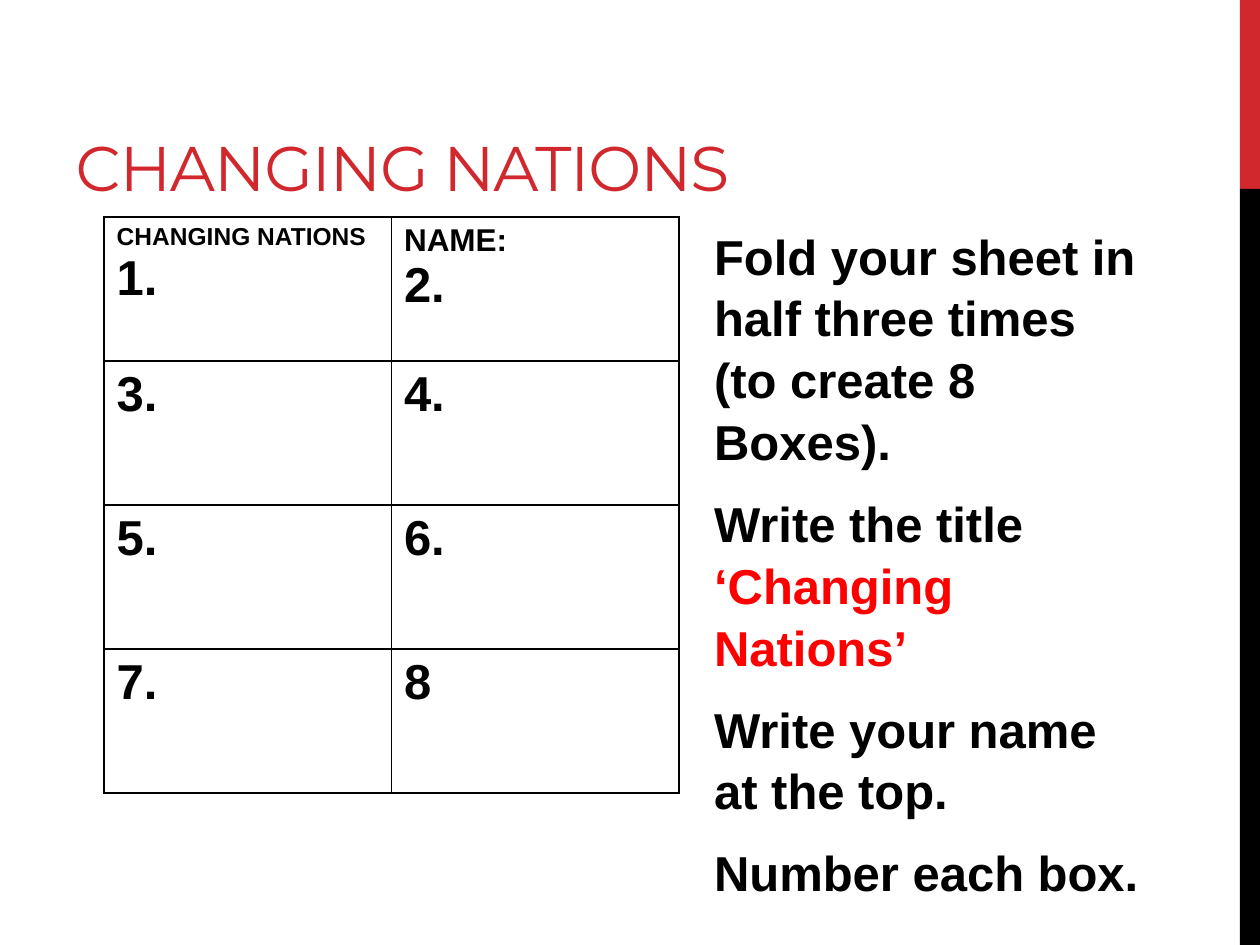
import pptx
import pptx.util
import pptx.dml.color
import pptx.enum.shapes
import pptx.enum.text
import pptx.oxml
import pptx.oxml.ns

Pt = pptx.util.Pt

# Content
TITLE = "CHANGING NATIONS"
# Each cell is a list of (text, size name) paragraphs
GRID = [
    [[("CHANGING NATIONS", "label"), ("1.", "body")],
     [("NAME:", "name"), ("2.", "body")]],
    [[("3.", "body")], [("4.", "body")]],
    [[("5.", "body")], [("6.", "body")]],
    [[("7.", "body")], [("8", "body")]],
]
# Each instruction is a list of (text, colour name) runs
INSTRUCTIONS = [
    [("Fold your sheet in half three times (to create 8 Boxes).", "ink")],
    [("Write the title ", "ink"), ("‘Changing Nations’", "highlight")],
    [("Write your name at the top.", "ink")],
    [("Number each box.", "ink")],
]

THEME = {
    "colours": {"accent": "D1282E", "ink": "000000", "highlight": "FF0000"},
    "sizes": {"title": 36, "body": 28, "name": 18, "label": 14},
    "fonts": {"title": "Montserrat", "body": "Arial"},
}

# Layout in points
PAGE_WIDTH, PAGE_HEIGHT = 720, 540
BAND_LEFT, BAND_SPLIT = 708.5, 108
TITLE_BOX = (36, 12, 456, 108)
TABLE_LEFT, TABLE_TOP = 59.5, 124
CELL_WIDTH, CELL_HEIGHT = 164.2, 82.3
TEXT_BOX = (401, 124, 259, 356)


def colour(name):
    return pptx.dml.color.RGBColor.from_string(THEME["colours"][name])


def add_span(para, text, size, ink="ink", font="body", bold=True):
    span = para.add_run()
    span.text = text
    span.font.name = THEME["fonts"][font]
    span.font.size = Pt(THEME["sizes"][size])
    span.font.bold = bold
    span.font.color.rgb = colour(ink)
    return span


def paragraphs(frame, count):
    """Yield the first paragraph of a frame, then new ones."""
    for index in range(count):
        yield frame.add_paragraph() if index else frame.paragraphs[0]


def add_band(page, top, height, name):
    band = page.shapes.add_shape(
        pptx.enum.shapes.MSO_SHAPE.RECTANGLE,
        Pt(BAND_LEFT), Pt(top), Pt(PAGE_WIDTH - BAND_LEFT), Pt(height))
    band.shadow.inherit = False
    band.fill.solid()
    band.fill.fore_color.rgb = colour(name)
    band.line.fill.background()


def add_title(page):
    title = page.shapes.title
    title.left, title.top, title.width, title.height = map(Pt, TITLE_BOX)
    frame = title.text_frame
    frame.word_wrap = True
    frame.vertical_anchor = pptx.enum.text.MSO_ANCHOR.BOTTOM
    para = frame.paragraphs[0]
    para.alignment = pptx.enum.text.PP_ALIGN.LEFT
    span = add_span(para, TITLE, "title", "accent", "title", bold=False)
    span.font._element.set("spc", "-60")


def outline_cell(cell):
    properties = cell._tc.get_or_add_tcPr()
    namespace = pptx.oxml.ns.nsdecls("a")
    for index, side in enumerate(("lnL", "lnR", "lnT", "lnB")):
        border = pptx.oxml.parse_xml(
            f'<a:{side} {namespace} w="{Pt(1)}"><a:solidFill>'
            f'<a:srgbClr val="{THEME["colours"]["ink"]}"/>'
            f'</a:solidFill></a:{side}>')
        properties.insert(index, border)


def add_grid(page):
    rows, columns = len(GRID), len(GRID[0])
    table = page.shapes.add_table(
        rows, columns, Pt(TABLE_LEFT), Pt(TABLE_TOP),
        Pt(columns * CELL_WIDTH), Pt(rows * CELL_HEIGHT)).table
    table.first_row = table.horz_banding = False
    for column in table.columns:
        column.width = Pt(CELL_WIDTH)
    for row_index, row in enumerate(GRID):
        table.rows[row_index].height = Pt(CELL_HEIGHT)
        for column_index, lines in enumerate(row):
            cell = table.cell(row_index, column_index)
            cell.fill.background()
            outline_cell(cell)
            paras = paragraphs(cell.text_frame, len(lines))
            for para, (text, size) in zip(paras, lines):
                add_span(para, text, size)


def add_instructions(page):
    box = page.shapes.add_textbox(*map(Pt, TEXT_BOX))
    frame = box.text_frame
    frame.word_wrap = True
    paras = paragraphs(frame, len(INSTRUCTIONS))
    for index, (para, spans) in enumerate(zip(paras, INSTRUCTIONS)):
        para.line_spacing = 1.05
        para.space_before = Pt(5.6 if index else 0)
        para.space_after = Pt(6)
        for text, ink in spans:
            add_span(para, text, "body", ink)


def main():
    deck = pptx.Presentation()
    deck.slide_width, deck.slide_height = Pt(PAGE_WIDTH), Pt(PAGE_HEIGHT)
    page = deck.slides.add_slide(deck.slide_layouts[5])
    # Side bands
    add_band(page, 0, BAND_SPLIT, "accent")
    add_band(page, BAND_SPLIT, PAGE_HEIGHT - BAND_SPLIT, "ink")
    # Title, worksheet grid and instructions
    add_title(page)
    add_grid(page)
    add_instructions(page)
    deck.save("out.pptx")


if __name__ == "__main__":
    main()
